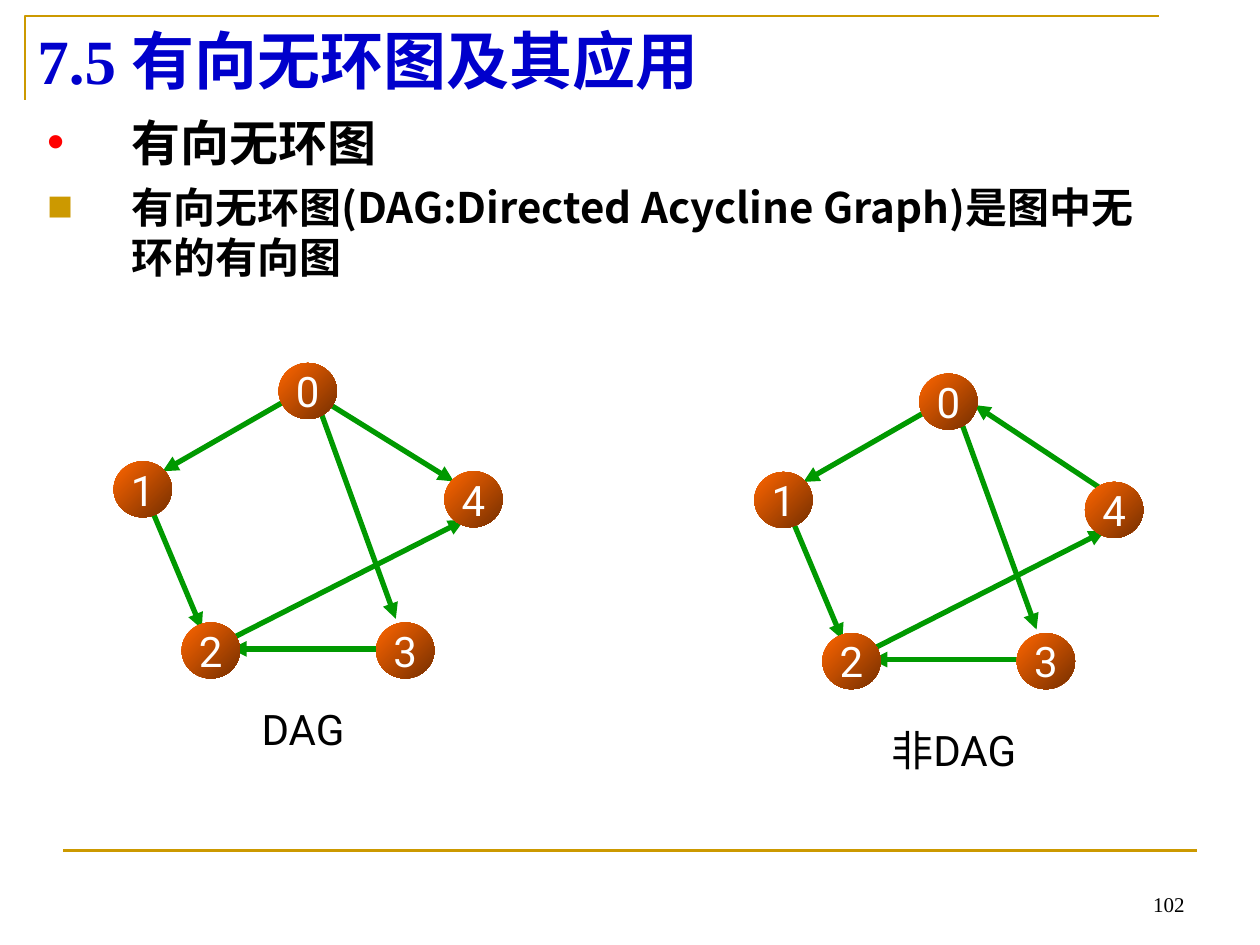
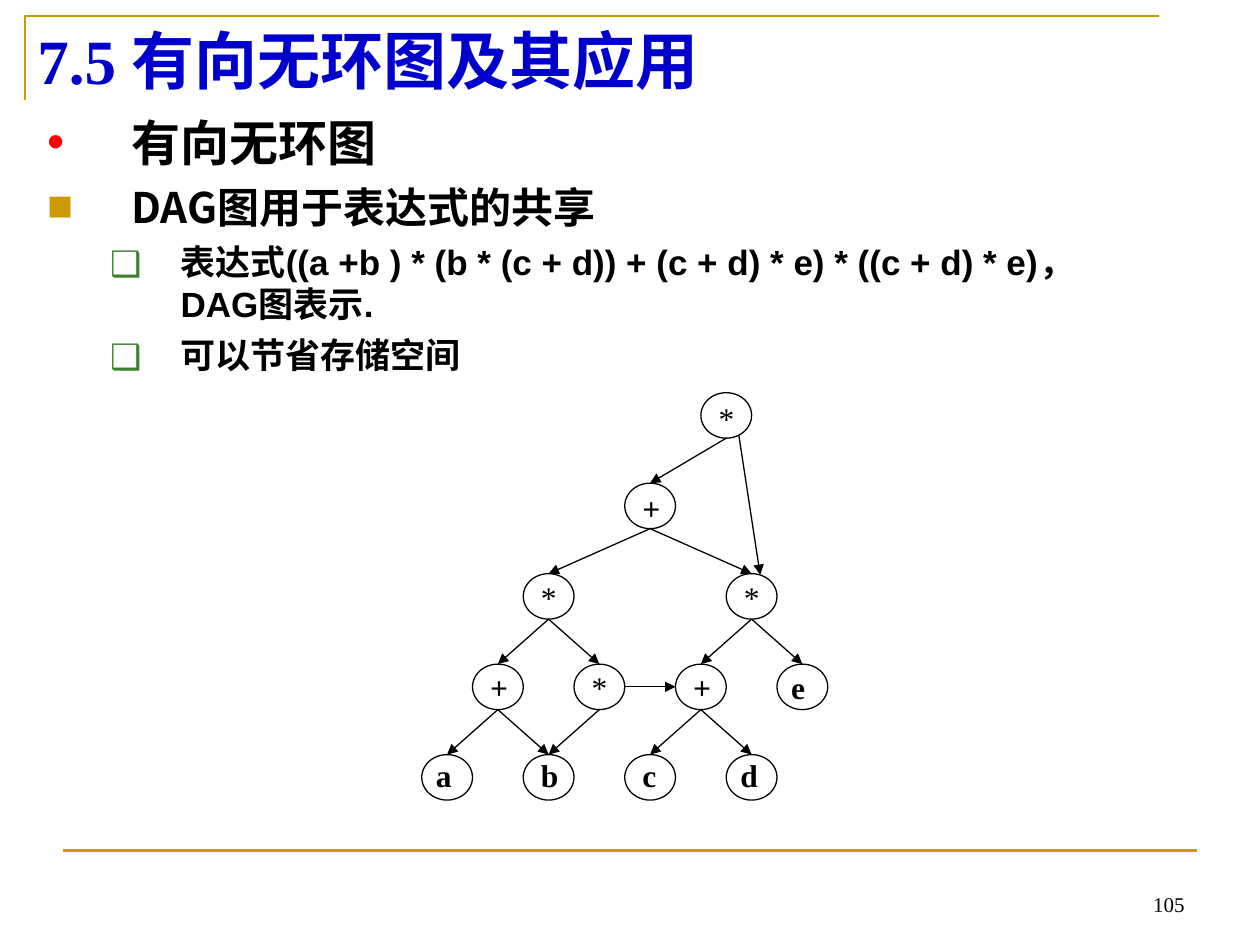
from dataclasses import dataclass

from lxml.etree import SubElement as Sub
from pptx import Presentation
from pptx.dml.color import RGBColor as RGB
from pptx.enum.shapes import MSO_CONNECTOR as Connector, MSO_SHAPE as Preset
from pptx.enum.text import MSO_ANCHOR as Anchor, MSO_AUTO_SIZE as AutoSize, PP_ALIGN as Align
from pptx.oxml.ns import qn
from pptx.util import Pt


@dataclass(frozen=True)
class Theme:
    gold: str = "CC9900"
    blue: str = "0000CC"
    red: str = "FF0000"
    green: str = "009900"
    leaf: str = "3B812F"
    black: str = "000000"
    white: str = "FFFFFF"
    orange: str = "FF6600"
    brown: str = "762F00"
    serif: str = "Times New Roman"
    sans: str = "Arial"
    han: str = "Noto Sans CJK SC"
    label: str = "Roboto"
    title_size: int = 36
    heading_size: int = 28
    point_size: int = 24
    detail_size: int = 20
    symbol_size: int = 18
    number_size: int = 12
    frame_width: float = 1.5
    edge_width: float = 3
    branch_width: float = 0.75


@dataclass(frozen=True)
class Level:
    size: int
    left: float
    hang: float
    before: float
    bullet: str
    bullet_color: str
    bullet_font: str
    bullet_scale: int


THEME = Theme()
HEADING = Level(THEME.heading_size, 48.2, 48.2, 0, "•", THEME.red, THEME.sans, 100)
POINT = Level(THEME.point_size, 48.2, 48.2, 6, "■", THEME.gold, THEME.han, 62)
DETAIL = Level(THEME.detail_size, 76.3, 40.3, 5, "❑", THEME.leaf, THEME.han, 100)

TITLE = "7.5 有向无环图及其应用"
TOPIC = (HEADING, "有向无环图", THEME.han)

VERTEX_SIZE = (33.3, 32)
VERTICES = {"1": (0, 56.2), "3": (150, 148.3), "2": (38.9, 148.3),
            "4": (189, 61.9), "0": (94.3, 0)}
COMMON_EDGES = [
    ((105.8, 17.3), (28.1, 61.9)),
    ((22.3, 85), (50.4, 151.9)),
    ((116.6, 23), (161.3, 146.2)),
    ((150.5, 163.4), (67, 163.4)),
    ((67, 157.7), (200.2, 90)),
]
EDGE_0_TO_4 = ((122.4, 23), (194.4, 67.7))
EDGE_4_TO_0 = ((198, 65.6), (126, 18))

TREE_LEFT, TREE_TOP = 241, 224.4
COLUMN_STEP, ROW_STEP = 29, 51.7
TERM_WIDTH, TERM_HEIGHT = 29, 26
TERMS = {
    "root": ("*", 5.5, 0),
    "sum": ("+", 4, 1),
    "left product": ("*", 2, 2),
    "right product": ("*", 6, 2),
    "a+b": ("+", 1, 3),
    "b product": ("*", 3, 3),
    "c+d": ("+", 5, 3),
    "e": ("e", 7, 3),
    "a": ("a", 0, 4),
    "b": ("b", 2, 4),
    "c": ("c", 4, 4),
    "d": ("d", 6, 4),
}
LABEL_RISE = [0, 0.5, 1, 1.5, 2.5]
BRANCHES = {
    "root": ["sum"],
    "sum": ["left product", "right product"],
    "left product": ["a+b", "b product"],
    "right product": ["c+d", "e"],
    "a+b": ["a", "b"],
    "b product": ["b"],
    "c+d": ["c", "d"],
}


def points(*lengths):
    return [Pt(length) for length in lengths]


def color(code):
    return RGB.from_string(code)


def style(paragraph, size, face, ink=THEME.black, bold=False, align=Align.LEFT):
    paragraph.alignment = align
    font = paragraph.font
    font.size, font.name, font.bold = Pt(size), face, bold
    font.color.rgb = color(ink)
    defaults = paragraph._p.pPr.find(qn("a:defRPr"))
    Sub(defaults, qn("a:ea")).set("typeface", THEME.han)


def add_text(slide, text, box, size, face, wrap=True, anchor=Anchor.TOP, **look):
    frame = slide.shapes.add_textbox(*points(*box)).text_frame
    frame.word_wrap = wrap
    frame.vertical_anchor = anchor
    frame.text = text
    style(frame.paragraphs[0], size, face, **look)


def add_arrow(slide, start, end, ink, width, head=True):
    line = slide.shapes.add_connector(Connector.STRAIGHT, *points(*start, *end))
    line.line.color.rgb = color(ink)
    line.line.width = Pt(width)
    properties = line._element.spPr
    if head:
        Sub(properties.find(qn("a:ln")), qn("a:tailEnd")).set("type", "triangle")
    Sub(properties, qn("a:effectLst"))


def add_ellipse(slide, left, top, width, height):
    ellipse = slide.shapes.add_shape(Preset.OVAL, *points(left, top, width, height))
    ellipse.shadow.inherit = False
    return ellipse


def add_frame(slide, number):
    builder = slide.shapes.build_freeform(Pt(14.2), Pt(57))
    builder.add_line_segments([points(14.2, 9.2), points(662.4, 9.2)], close=False)
    corner = builder.convert_to_shape()
    corner.shadow.inherit = False
    corner.fill.background()
    corner.line.color.rgb = color(THEME.gold)
    corner.line.width = Pt(THEME.frame_width)
    add_arrow(slide, (36, 486), (684, 486), THEME.gold, THEME.frame_width, head=False)
    add_text(slide, number, (516, 491.6, 168, 36), THEME.number_size, THEME.serif,
             anchor=Anchor.BOTTOM, align=Align.RIGHT)


def set_title(slide):
    title = slide.shapes.title
    title.left, title.top, title.width, title.height = points(14.2, 8.6, 648, 51)
    frame = title.text_frame
    frame.auto_size = AutoSize.NONE
    frame.vertical_anchor = Anchor.MIDDLE
    frame.text = TITLE
    style(frame.paragraphs[0], THEME.title_size, THEME.serif, THEME.blue, bold=True)


def set_bullet(paragraph, level):
    properties = paragraph._p.get_or_add_pPr()
    properties.set("marL", str(Pt(level.left)))
    properties.set("indent", str(-Pt(level.hang)))
    Sub(Sub(properties, qn("a:buClr")), qn("a:srgbClr")).set("val", level.bullet_color)
    Sub(properties, qn("a:buSzPct")).set("val", str(level.bullet_scale * 1000))
    Sub(properties, qn("a:buFont")).set("typeface", level.bullet_font)
    Sub(properties, qn("a:buChar")).set("char", level.bullet)


def add_outline(slide, items):
    frame = slide.shapes.add_textbox(*points(19.8, 60.5, 641, 363)).text_frame
    frame.word_wrap = True
    for index, (level, text, face) in enumerate(items):
        paragraph = frame.add_paragraph() if index else frame.paragraphs[0]
        paragraph.text = text
        set_bullet(paragraph, level)
        paragraph.space_before = Pt(level.before)
        style(paragraph, level.size, face, bold=True)


def add_vertex(slide, name, left, top):
    vertex = add_ellipse(slide, left, top, *VERTEX_SIZE)
    vertex.line.fill.background()
    vertex.fill.gradient()
    vertex.fill.gradient_angle = 315
    for stop, shade in zip(vertex.fill.gradient_stops, (THEME.orange, THEME.brown)):
        stop.color.rgb = color(shade)
    frame = vertex.text_frame
    frame.word_wrap = False
    frame.margin_left = frame.margin_right = 0
    frame.vertical_anchor = Anchor.MIDDLE
    frame.text = name
    style(frame.paragraphs[0], THEME.point_size, THEME.label, THEME.white, align=Align.CENTER)


def add_graph(slide, left, top, last_edge):
    for edge in [*COMMON_EDGES, last_edge]:
        start, end = [(left + x, top + y) for x, y in edge]
        add_arrow(slide, start, end, THEME.green, THEME.edge_width)
    for name, (x, y) in VERTICES.items():
        add_vertex(slide, name, left + x, top + y)


def add_caption(slide, text, left, top):
    add_text(slide, text, (left, top, 150, 36), THEME.point_size, THEME.label,
             align=Align.CENTER)


def term_corner(term):
    _, column, row = TERMS[term]
    return TREE_LEFT + column * COLUMN_STEP, TREE_TOP + row * ROW_STEP


def term_point(term, across, down):
    left, top = term_corner(term)
    return left + across * TERM_WIDTH, top + down * TERM_HEIGHT


def add_term(slide, term):
    symbol, _, row = TERMS[term]
    left, top = term_corner(term)
    ellipse = add_ellipse(slide, left, top, TERM_WIDTH, TERM_HEIGHT)
    ellipse.fill.solid()
    ellipse.fill.fore_color.rgb = color(THEME.white)
    ellipse.line.color.rgb = color(THEME.black)
    ellipse.line.width = Pt(THEME.branch_width)
    shift = 1 if symbol in "ade" else 3
    add_text(slide, symbol, (left + shift, top - LABEL_RISE[row], 23, 29),
             THEME.symbol_size, THEME.serif, wrap=False, bold=symbol != "*")


def add_expression(slide):
    for term in TERMS:
        add_term(slide, term)
    links = [(term_point(parent, 0.5, 1), term_point(child, 0.5, 0))
             for parent, children in BRANCHES.items() for child in children]
    links.append((term_point("b product", 1, 0.5), term_point("c+d", 0, 0.5)))
    links.append((term_point("root", 0.75, 0.95), term_point("right product", 0.67, 0.03)))
    for start, end in links:
        add_arrow(slide, start, end, THEME.black, THEME.branch_width)


def add_slide(deck, number, items):
    slide = deck.slides.add_slide(deck.slide_layouts[5])
    add_frame(slide, number)
    set_title(slide)
    add_outline(slide, [TOPIC, *items])
    return slide


def main():
    deck = Presentation()
    deck.slide_width, deck.slide_height = points(720, 540)

    definition = add_slide(deck, "102", [
        (POINT, "有向无环图(DAG:Directed Acycline Graph)是图中无环的有向图", THEME.han),
    ])
    add_graph(definition, 64.9, 207.4, EDGE_0_TO_4)
    add_graph(definition, 431, 213.5, EDGE_4_TO_0)
    add_caption(definition, "DAG", 98.2, 398.4)
    add_caption(definition, "非DAG", 470, 410.4)

    sharing = add_slide(deck, "105", [
        (POINT, "DAG图用于表达式的共享", THEME.han),
        (DETAIL, "表达式((a +b ) * (b * (c + d)) + (c + d) * e) * ((c + d) * e)，DAG图表示.",
         THEME.sans),
        (DETAIL, "可以节省存储空间", THEME.han),
    ])
    add_expression(sharing)

    deck.save("out.pptx")


if __name__ == "__main__":
    main()
